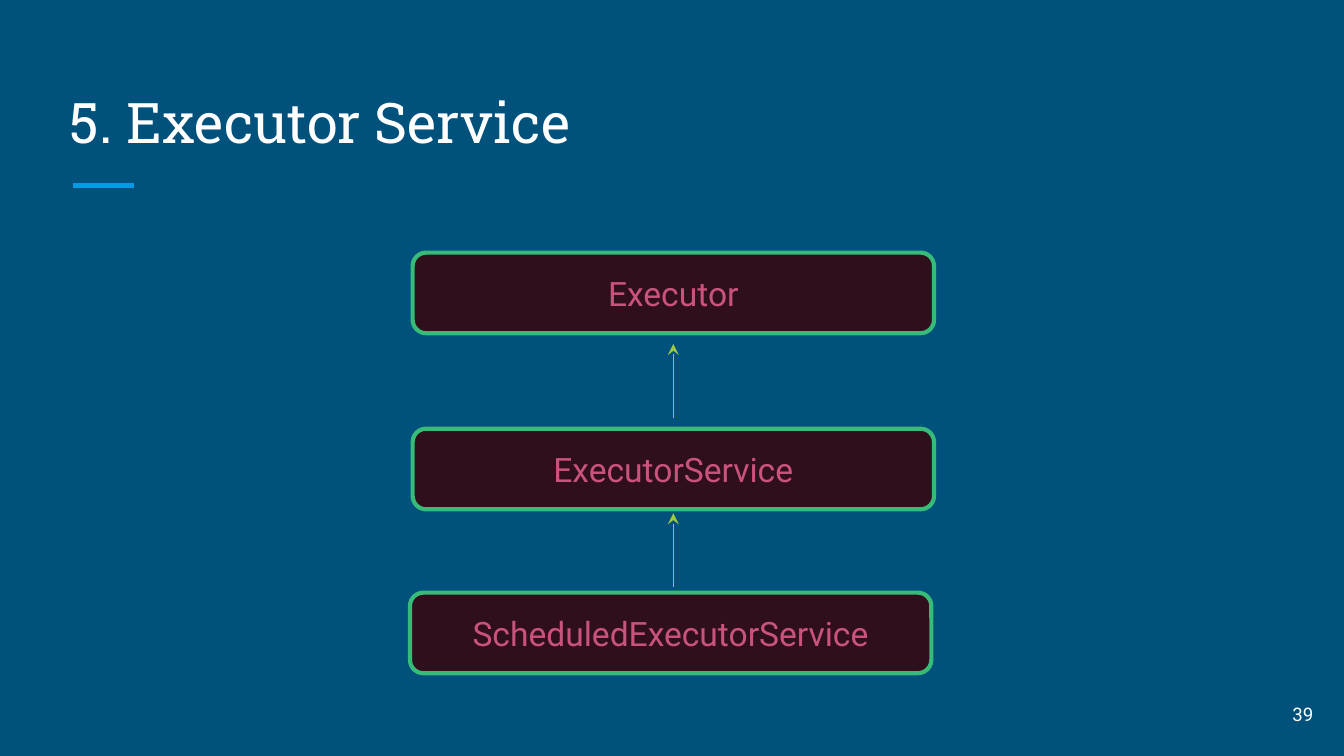
import pptx
import pptx.dml.color
import pptx.enum.shapes
import pptx.enum.text
import pptx.oxml.ns
import pptx.util
from lxml import etree

RGBColor = pptx.dml.color.RGBColor
Inches = pptx.util.Inches
Align = pptx.enum.text.PP_ALIGN
Anchor = pptx.enum.text.MSO_ANCHOR
qn = pptx.oxml.ns.qn

# Content
TITLE = "5. Executor Service"
PAGE_NUMBER = "39"
BOXES = [  # name, left, top
    ("Executor", 3.07, 1.88),
    ("ExecutorService", 3.07, 3.19),
    ("ScheduledExecutorService", 3.05, 4.41),
]
ARROW_STARTS = [3.11, 4.37]

# Layout and colours
SLIDE_WIDTH = 10
SLIDE_HEIGHT = SLIDE_WIDTH * 9 / 16
BOX_WIDTH, BOX_HEIGHT = 3.88, 0.6
ARROW_LENGTH = 0.55
ARROW_X = BOXES[0][1] + BOX_WIDTH / 2
BACKGROUND = RGBColor(0x00, 0x51, 0x7C)
WHITE = RGBColor(0xFF, 0xFF, 0xFF)
ACCENT = RGBColor(0x03, 0x9B, 0xE5)
BOX_FILL = RGBColor(0x2F, 0x0F, 0x1C)
BOX_LINE = RGBColor(0x36, 0xBB, 0x78)
BOX_TEXT = RGBColor(0xCA, 0x52, 0x7F)
ARROW = RGBColor(0x9D, 0xC9, 0x40)


def write_text(shape, text, size, color, font="Roboto", align=Align.LEFT,
               anchor=Anchor.MIDDLE, vertical_margin=0.1):
    frame = shape.text_frame
    frame.word_wrap = True
    frame.auto_size = pptx.enum.text.MSO_AUTO_SIZE.NONE
    frame.vertical_anchor = anchor
    frame.margin_left = frame.margin_right = Inches(0.1)
    frame.margin_top = frame.margin_bottom = Inches(vertical_margin)
    paragraph = frame.paragraphs[0]
    paragraph.alignment = align
    run = paragraph.add_run()
    run.text = text
    run.font.size = pptx.util.Pt(size)
    run.font.name = font
    run.font.color.rgb = color


def add_line(slide, start, end, color, width, arrowhead=None):
    connector = slide.shapes.add_connector(
        pptx.enum.shapes.MSO_CONNECTOR.STRAIGHT,
        *(Inches(value) for value in (*start, *end)))
    connector.line.color.rgb = color
    connector.line.width = pptx.util.Pt(width)
    properties = connector._element.spPr
    if arrowhead:
        etree.SubElement(properties.find(qn("a:ln")), qn("a:tailEnd"), type=arrowhead)
    etree.SubElement(properties, qn("a:effectLst"))


def add_box(slide, name, left, top):
    box = slide.shapes.add_shape(
        pptx.enum.shapes.MSO_SHAPE.ROUNDED_RECTANGLE,
        Inches(left), Inches(top), Inches(BOX_WIDTH), Inches(BOX_HEIGHT))
    box.shadow.inherit = False
    box.fill.solid()
    box.fill.fore_color.rgb = BOX_FILL
    box.line.color.rgb = BOX_LINE
    box.line.width = pptx.util.Pt(2.25)
    write_text(box, name, 18, BOX_TEXT, align=Align.CENTER, vertical_margin=0.05)


def main():
    presentation = pptx.Presentation()
    presentation.slide_width = Inches(SLIDE_WIDTH)
    presentation.slide_height = Inches(SLIDE_HEIGHT)
    slide = presentation.slides.add_slide(presentation.slide_layouts.get_by_name("Title Only"))
    slide.background.fill.solid()
    slide.background.fill.fore_color.rgb = BACKGROUND

    # Title with accent rule
    title = slide.shapes.title
    title.left, title.top = Inches(0.42), Inches(0.5)
    title.width, title.height = Inches(9.15), Inches(0.75)
    write_text(title, TITLE, 30, WHITE, font="Roboto Slab", anchor=Anchor.BOTTOM)
    add_line(slide, (0.54, 1.38), (1, 1.38), ACCENT, 3)

    # Interface hierarchy
    for name, left, top in BOXES:
        add_box(slide, name, left, top)
    for start in ARROW_STARTS:
        add_line(slide, (ARROW_X, start), (ARROW_X, start - ARROW_LENGTH),
                 ARROW, 0.75, arrowhead="stealth")

    # Page number
    number = slide.shapes.add_textbox(Inches(9.27), Inches(5.1), Inches(0.6), Inches(0.43))
    write_text(number, PAGE_NUMBER, 10, WHITE, align=Align.RIGHT)

    presentation.save("out.pptx")


if __name__ == "__main__":
    main()
